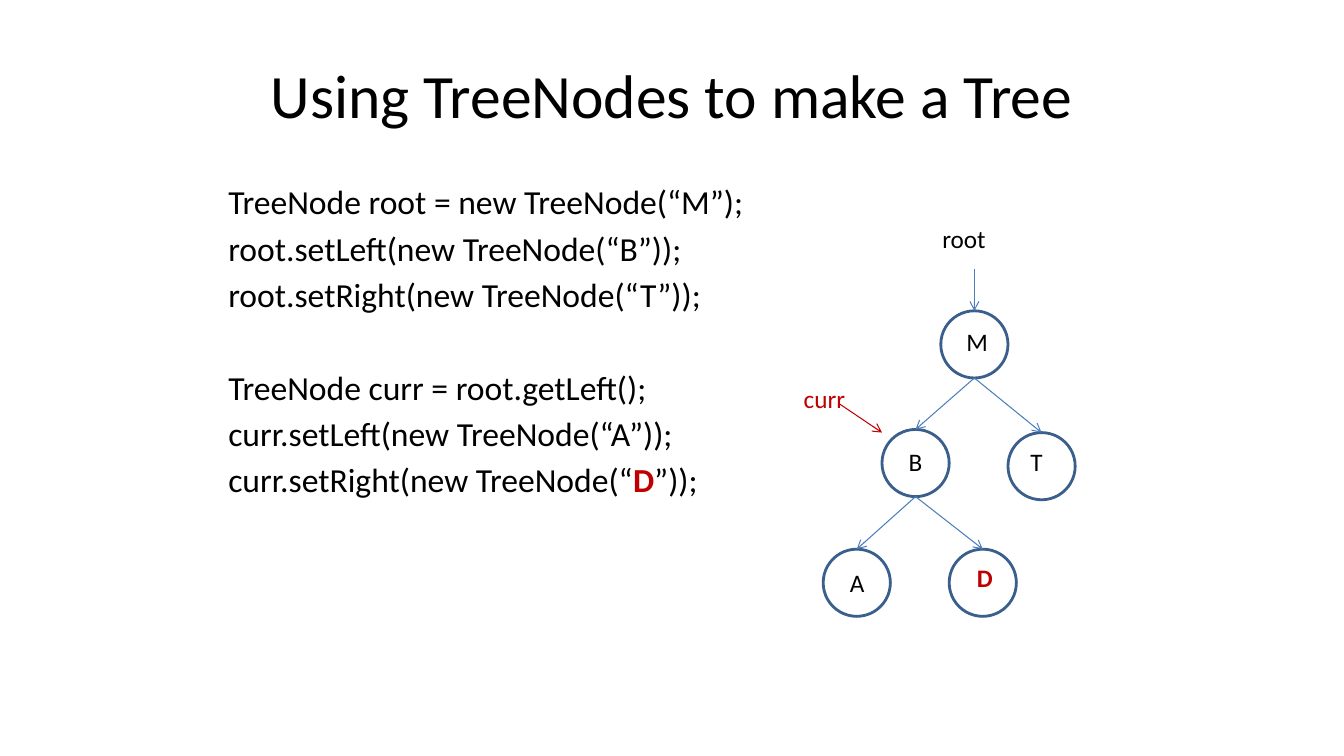
from dataclasses import dataclass

from lxml import etree
from pptx import Presentation
from pptx import util as u
from pptx.dml.color import RGBColor as Rgb
from pptx.enum import shapes, text
from pptx.oxml.ns import qn

PX = 9525  # EMU in one px, 96 px to the inch


@dataclass(frozen=True)
class Theme:
    font: str = "Calibri"
    ink: str = "000000"
    red: str = "C00000"
    ring: str = "3A5F8C"
    edge: str = "4B7EBC"
    title: int = 44
    code: int = 24
    label: int = 18
    gap: float = 4.2
    skip: float = 37.7


LOOK = Theme()
SIZE = 64  # diameter of a tree node

CODE = [
    [
        ["TreeNode root = new TreeNode(“M”);"],
        ["root.setLeft(new TreeNode(“B”));"],
        ["root.setRight(new TreeNode(“T”));"],
    ],
    [
        ["TreeNode curr = root.getLeft();"],
        ["curr.setLeft(new TreeNode(“A”));"],
        ["curr.setRight(new TreeNode(“", "D", "”));"],
    ],
]

# Letter: node corner, then label left, top and width
NODES = {
    "M": ((896, 296), (911, 306, 48)),
    "B": ((840, 409), (856, 420, 39)),
    "T": ((960, 412), (972, 420, 39)),
    "A": ((784, 523), (800, 536, 39)),
    "D": ((904, 523), (921, 531, 39)),
}
EDGES = ["MB", "MT", "BA", "BD"]


def emu(*nums):
    return [u.Emu(n * PX) for n in nums]


def add_box(slide, x, y, w, h):
    frame = slide.shapes.add_textbox(*emu(x, y, w, h)).text_frame
    frame.word_wrap = True
    return frame


def add_run(para, words, size, color=LOOK.ink, bold=False):
    run = para.add_run()
    run.text = words
    run.font.name = LOOK.font
    run.font.size = u.Pt(size)
    run.font.bold = bold
    run.font.color.rgb = Rgb.from_string(color)


def add_title(slide, words):
    frame = add_box(slide, 64, 29, 1152, 120)
    frame.vertical_anchor = text.MSO_ANCHOR.MIDDLE
    para = frame.paragraphs[0]
    para.alignment = text.PP_ALIGN.CENTER
    add_run(para, words, LOOK.title)


def add_code(slide, blocks):
    frame = add_box(slide, 208, 168, 512, 475)
    para = frame.paragraphs[0]
    for b, block in enumerate(blocks):
        for n, line in enumerate(block):
            if b or n:
                para = frame.add_paragraph()
                para.space_before = u.Pt(LOOK.gap if n else LOOK.skip)
            for part in line:
                hot = part == "D"
                add_run(para, part, LOOK.code, LOOK.red if hot else LOOK.ink, hot)


def add_label(slide, words, x, y, w, color=LOOK.ink, bold=False):
    frame = add_box(slide, x, y, w, 38)
    frame.auto_size = text.MSO_AUTO_SIZE.SHAPE_TO_FIT_TEXT
    add_run(frame.paragraphs[0], words, LOOK.label, color, bold)


def add_node(slide, x, y):
    node = slide.shapes.add_shape(shapes.MSO_SHAPE.OVAL, *emu(x, y, SIZE, SIZE))
    node.shadow.inherit = False
    node.fill.background()
    node.line.color.rgb = Rgb.from_string(LOOK.ring)
    node.line.width = u.Pt(2)


def add_arrow(slide, start, end, color=LOOK.edge):
    kind = shapes.MSO_CONNECTOR.STRAIGHT
    arrow = slide.shapes.add_connector(kind, *emu(*start, *end))
    arrow.line.color.rgb = Rgb.from_string(color)
    arrow.line.width = u.Pt(0.75)
    props = arrow.element.spPr
    etree.SubElement(props.find(qn("a:ln")), qn("a:tailEnd"), type="arrow")
    etree.SubElement(props, qn("a:effectLst"))


def top(name):
    x, y = NODES[name][0]
    return x + SIZE // 2, y


def base(name):
    x, y = top(name)
    return x, y + SIZE


def main():
    deck = Presentation()
    deck.slide_width, deck.slide_height = emu(1280, 720)
    slide = deck.slides.add_slide(deck.slide_layouts[6])

    # Title and code
    add_title(slide, "Using TreeNodes to make a Tree")
    add_code(slide, CODE)

    # Tree nodes and the edges between them
    for spot, _ in NODES.values():
        add_node(slide, *spot)
    for high, low in EDGES:
        add_arrow(slide, base(high), top(low))

    # Pointers into the tree
    add_arrow(slide, (928, 256), top("M"))
    add_arrow(slide, (800, 385), (840, 412), LOOK.red)
    add_label(slide, "root", 888, 208, 72)
    add_label(slide, "curr", 756, 360, 67, LOOK.red)

    # Node letters
    for name, (_, spot) in NODES.items():
        hot = name == "D"
        add_label(slide, name, *spot, LOOK.red if hot else LOOK.ink, hot)

    deck.save("out.pptx")


if __name__ == "__main__":
    main()
